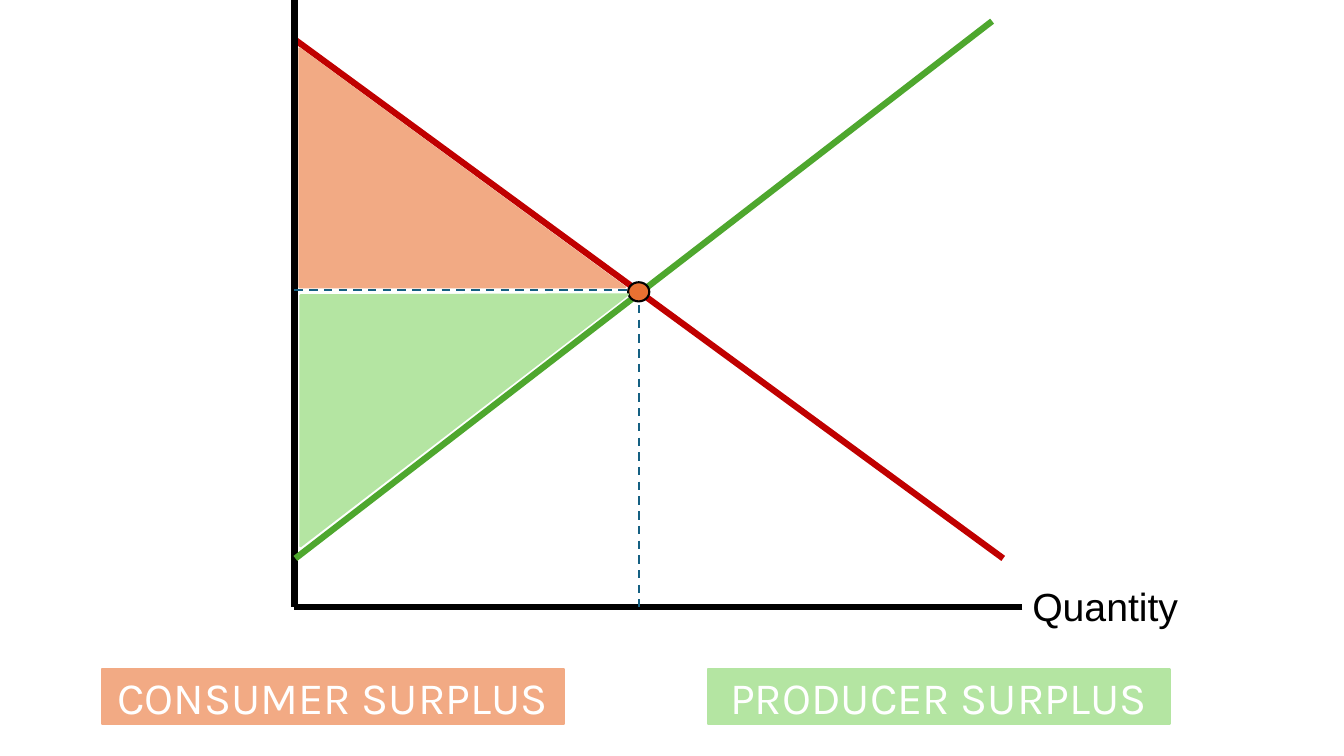
from typing import NamedTuple

from lxml import etree
from pptx import Presentation
from pptx.dml.color import RGBColor
from pptx.enum.dml import MSO_LINE_DASH_STYLE as Dash
from pptx.enum.shapes import MSO_CONNECTOR as Connector
from pptx.enum.shapes import MSO_SHAPE as Shape
from pptx.enum.text import MSO_ANCHOR as Anchor
from pptx.enum.text import PP_ALIGN as Align
from pptx.oxml.ns import qn
from pptx.util import Inches, Pt

BLACK = RGBColor(0x00, 0x00, 0x00)
WHITE = RGBColor(0xFF, 0xFF, 0xFF)
RED = RGBColor(0xC0, 0x00, 0x00)
GREEN = RGBColor(0x4E, 0xA7, 0x2E)
BLUE = RGBColor(0x15, 0x60, 0x82)
ORANGE = RGBColor(0xE9, 0x71, 0x32)
PEACH = RGBColor(0xF2, 0xAA, 0x84)
MINT = RGBColor(0xB4, 0xE5, 0xA2)

Point = tuple[float, float]
AXIS_X, AXIS_Y = 2.92, 6.02
EQUILIBRIUM: Point = (6.34, 2.88)


class Line(NamedTuple):
    start: Point
    end: Point
    color: RGBColor
    width: float = 4.5
    dashed: bool = False


class Surplus(NamedTuple):
    label: str
    label_left: float
    color: RGBColor
    corners: list[Point]


LINES = [
    Line((AXIS_X, 0.39), (9.95, 5.54), RED),  # demand
    Line((AXIS_X, 0), (AXIS_X, AXIS_Y), BLACK),
    Line((10.14, AXIS_Y), (AXIS_X, AXIS_Y), BLACK),
    Line((2.93, 5.54), (9.84, 0.21), GREEN),  # supply
    Line((AXIS_X, EQUILIBRIUM[1]), EQUILIBRIUM, BLUE, 1.5, True),
    Line(EQUILIBRIUM, (EQUILIBRIUM[0], AXIS_Y), BLUE, 1.5, True),
]
SURPLUSES = [
    Surplus("CONSUMER SURPLUS", 1.01, PEACH, [(2.97, 2.85), (6.2, 2.85), (2.97, 0.48)]),
    Surplus("PRODUCER SURPLUS", 7.02, MINT, [(2.98, 2.93), (6.23, 2.92), (2.98, 5.42)]),
]


def draw_line(page, line: Line) -> None:
    ends = [Inches(value) for value in line.start + line.end]
    connector = page.shapes.add_connector(Connector.STRAIGHT, *ends)
    connector.line.color.rgb = line.color
    connector.line.width = Pt(line.width)
    if line.dashed:
        connector.line.dash_style = Dash.DASH
    etree.SubElement(connector.element.spPr, qn("a:effectLst"))


def paint(shape, fill: RGBColor, outline: RGBColor) -> None:
    shape.shadow.inherit = False
    shape.fill.solid()
    shape.fill.fore_color.rgb = fill
    shape.line.color.rgb = outline
    shape.line.width = Pt(1.5)


def write(box, text: str, font: str, size: int, color: RGBColor, align: Align) -> None:
    box.text_frame.word_wrap = True
    para = box.text_frame.paragraphs[0]
    para.text = text
    para.alignment = align
    para.font.name = font
    para.font.size = Pt(size)
    para.font.color.rgb = color


def draw_area(page, surplus: Surplus) -> None:
    first, *others = [(Inches(x), Inches(y)) for x, y in surplus.corners]
    builder = page.shapes.build_freeform(*first)
    builder.add_line_segments(others, close=True)
    paint(builder.convert_to_shape(), surplus.color, surplus.color)


def draw_label(page, surplus: Surplus) -> None:
    box = page.shapes.add_shape(
        Shape.RECTANGLE, Inches(surplus.label_left), Inches(6.64), Inches(4.58), Inches(0.54)
    )
    paint(box, surplus.color, surplus.color)
    write(box, surplus.label, "Karla", 32, WHITE, Align.CENTER)
    box.text_frame.vertical_anchor = Anchor.MIDDLE


def main() -> None:
    deck = Presentation()
    deck.slide_width, deck.slide_height = Inches(13.33), Inches(7.5)
    page = deck.slides.add_slide(deck.slide_layouts[6])

    # Axes, curves and guides
    for line in LINES:
        draw_line(page, line)
    quantity = page.shapes.add_textbox(Inches(10.14), Inches(5.73), Inches(1.94), Inches(0.57))
    write(quantity, "Quantity", "Arial", 28, BLACK, Align.LEFT)

    # Equilibrium point
    dot = page.shapes.add_shape(
        Shape.OVAL, Inches(6.23), Inches(2.8), Inches(0.21), Inches(0.19)
    )
    paint(dot, ORANGE, BLACK)

    # Surplus areas and their labels
    for surplus in SURPLUSES:
        draw_area(page, surplus)
        draw_label(page, surplus)

    deck.save("out.pptx")


if __name__ == "__main__":
    main()
